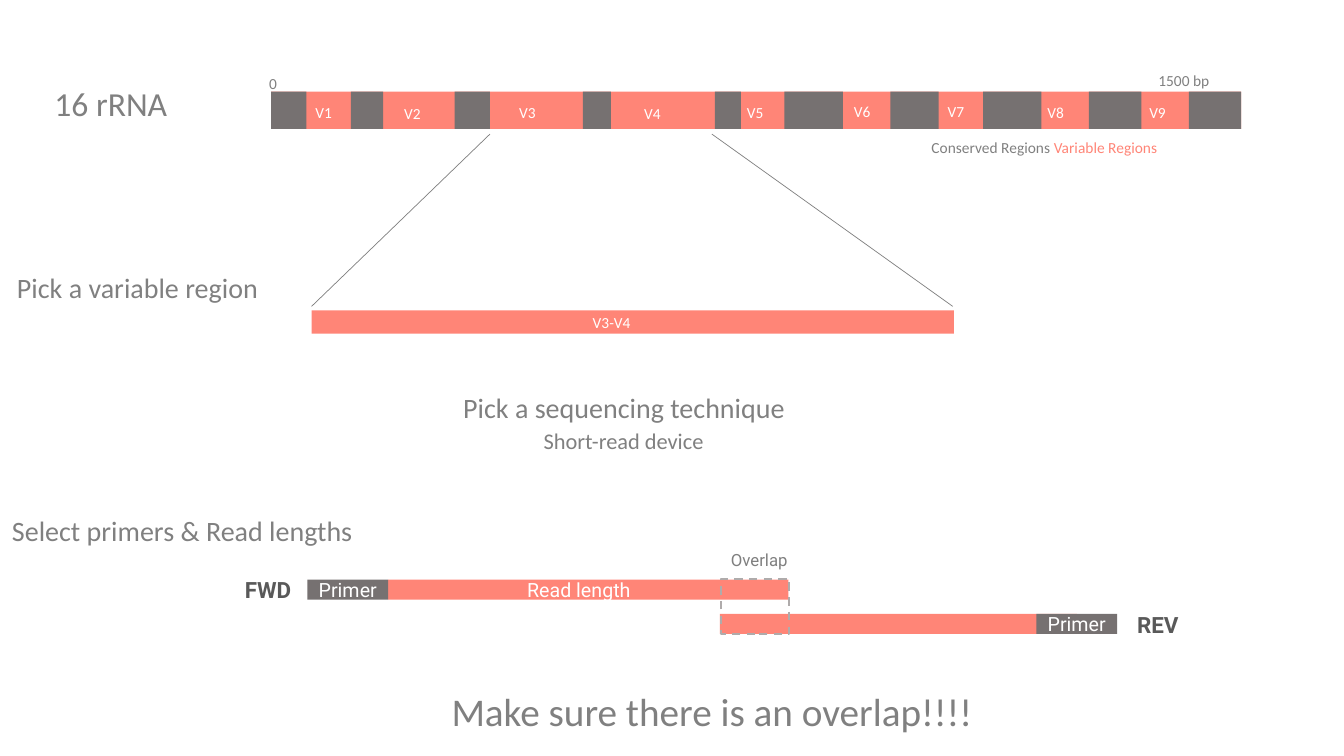
from pptx import Presentation
from pptx.dml.color import RGBColor
from pptx.enum.dml import MSO_LINE
from pptx.enum.shapes import MSO_CONNECTOR, MSO_SHAPE
from pptx.enum.text import MSO_ANCHOR, MSO_AUTO_SIZE, PP_ALIGN
from pptx.oxml.ns import qn
from pptx.util import Pt
from lxml import etree

PX = 9144  # 100 px to the inch
RECTANGLE = MSO_SHAPE.RECTANGLE
STRAIGHT = MSO_CONNECTOR.STRAIGHT
DASH = MSO_LINE.DASH
TOP, MIDDLE = MSO_ANCHOR.TOP, MSO_ANCHOR.MIDDLE
LEFT, CENTER = PP_ALIGN.LEFT, PP_ALIGN.CENTER
NO_FIT = MSO_AUTO_SIZE.NONE

CORAL, DARK, GREY, WHITE = "FF8577", "767171", "808080", "FFFFFF"
BOLD_GREY, DASH_GREY = "595959", "AFABAB"
SANS, READ_FONT = "Calibri", "Roboto"

deck = Presentation()
deck.slide_width = 1333 * PX
deck.slide_height = 750 * PX
page = deck.slides.add_slide(deck.slide_layouts[5])


def add_bar(left, top, width, height, color=None):
    bar = page.shapes.add_shape(RECTANGLE, left * PX, top * PX, width * PX, height * PX)
    bar.shadow.inherit = False
    bar.line.fill.background()
    if color:
        bar.fill.solid()
        bar.fill.fore_color.rgb = RGBColor.from_string(color)
    else:
        bar.fill.background()
    return bar


def write(box, spans, size, font=SANS, align=LEFT, anchor=TOP, bold=False):
    """Fill a box with one paragraph of (text, color) spans."""
    frame = box.text_frame
    settings = {"word_wrap": False, "auto_size": NO_FIT, "vertical_anchor": anchor}
    for name, value in settings.items():
        setattr(frame, name, value)
    para = frame.paragraphs[0]
    para.alignment = align
    for text, color in spans:
        span = para.add_run()
        span.text = text
        for name, value in {"name": font, "size": Pt(size), "bold": bold}.items():
            setattr(span.font, name, value)
        span.font.color.rgb = RGBColor.from_string(color)


# Gene heading
title = page.shapes.title
for name, value in {"left": 44, "top": 77, "width": 133, "height": 50}.items():
    setattr(title, name, value * PX)
write(title, [("16 rRNA", GREY)], 24)

# Gene bar with its conserved regions
add_bar(269, 91, 962, 37, CORAL)
conserved_regions = [
    (269, 35), (348, 32), (451, 35), (578, 28), (709, 26),
    (778, 58), (883, 48), (975, 58), (1080, 52), (1179, 52),
]
for left, width in conserved_regions:
    add_bar(left, 91, width, 37, DARK)

variable_labels = [
    (303, 97), (391, 98), (505, 97), (629, 98), (731, 97),
    (837, 96), (930, 96), (1029, 97), (1130, 97),
]
for number, (left, top) in enumerate(variable_labels, 1):
    box = page.shapes.add_textbox(left * PX, top * PX, 51 * PX, 29 * PX)
    write(box, [(f"V{number}", WHITE)], 11)

# Zoom into the chosen region
add_bar(309, 308, 637, 23, CORAL)
for start, end in [(486, 309), (706, 945)]:
    zoom = page.shapes.add_connector(STRAIGHT, start * PX, 133 * PX, end * PX, 304 * PX)
    zoom.line.width = Pt(0.5)
    zoom.line.color.rgb = RGBColor.from_string(GREY)
    etree.SubElement(zoom._element.spPr, qn("a:effectLst"))

# Forward and reverse reads
add_bar(385, 575, 397, 20, CORAL)
add_bar(714, 609, 354, 20, CORAL)
for left, top in [(305, 575), (1028, 609)]:
    primer = add_bar(left, top, 80, 20, DARK)
    write(primer, [("Primer", WHITE)], 14, READ_FONT, CENTER, MIDDLE)

overlap = add_bar(715, 574, 68, 55)
overlap.line.color.rgb = RGBColor.from_string(DASH_GREY)
overlap.line.width = Pt(1.5)
overlap.line.dash_style = DASH

# Captions: left, top, width, height, spans, size, text options
read_style = {"font": READ_FONT}
end_style = {"font": READ_FONT, "bold": True}
centered = {"align": CENTER}
captions = [
    (257, 69, 39, 29, [("0", GREY)], 11, {}),
    (1139, 66, 104, 29, [("1500 bp", GREY)], 11, {}),
    (914, 132, 343, 29,
     [("Conserved Regions ", GREY), ("Variable Regions", CORAL)], 11, {}),
    (578, 306, 58, 29, [("V3-V4", WHITE)], 11, {}),
    (7, 263, 262, 44, [("Pick a variable region", GREY)], 20, {}),
    (438, 382, 362, 53, [("Pick a sequencing technique", GREY)], 20, centered),
    (529, 419, 179, 45, [("Short-read device", GREY)], 16, centered),
    (2, 505, 362, 44, [("Select primers & Read lengths", GREY)], 20, {}),
    (715, 540, 82, 30, [("Overlap", GREY)], 12, read_style),
    (513, 568, 157, 34, [("Read length", WHITE)], 14, read_style),
    (233, 567, 83, 37, [("FWD", BOLD_GREY)], 16, end_style),
    (1118, 601, 83, 37, [("REV", BOLD_GREY)], 16, end_style),
    (438, 677, 542, 57, [("Make sure there is an overlap!!!!", GREY)], 28, {}),
]
for left, top, width, height, spans, size, options in captions:
    box = page.shapes.add_textbox(left * PX, top * PX, width * PX, height * PX)
    write(box, spans, size, **options)

deck.save("out.pptx")
